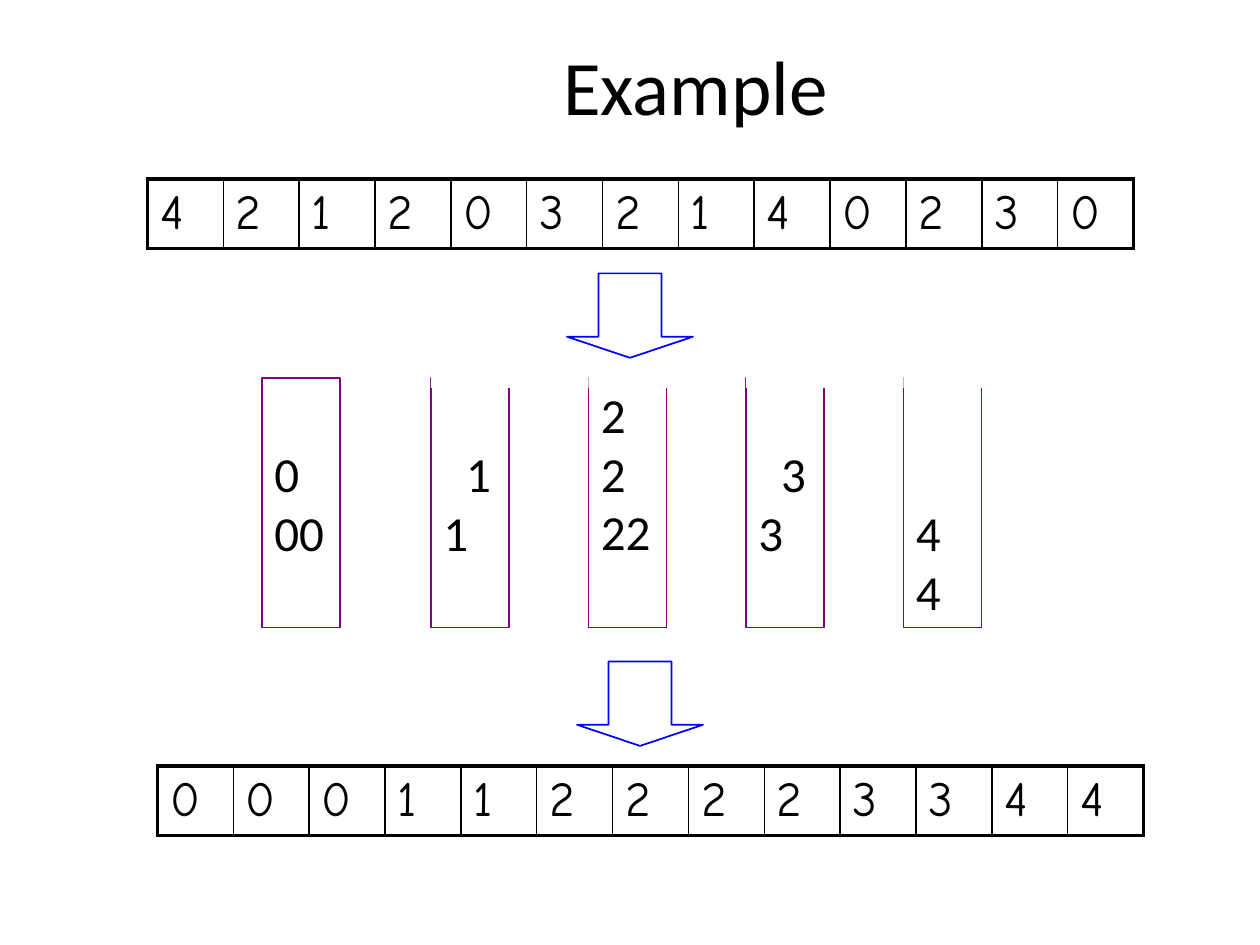
"""Build the bucket sort example slide."""
from lxml import etree
from pptx import Presentation
from pptx import util as u
from pptx.dml.color import RGBColor
from pptx.enum import shapes, text
from pptx.oxml.ns import qn

BLACK = RGBColor(0, 0, 0)
WHITE = RGBColor(255, 255, 255)
PURPLE = RGBColor(128, 0, 128)
BLUE = RGBColor(0, 0, 255)
THIN, THICK = u.Pt(1), u.Pt(2.25)


def style_paragraph(paragraph, font_name, size):
    paragraph.font.name = font_name
    paragraph.font.size = u.Pt(size)
    paragraph.font.color.rgb = BLACK


def add_border(cell, side, width):
    line = etree.SubElement(cell._tc.get_or_add_tcPr(), qn(f"a:{side}"), w=str(width))
    fill = etree.SubElement(line, qn("a:solidFill"))
    etree.SubElement(fill, qn("a:srgbClr"), val=str(BLACK))


presentation = Presentation()
presentation.slide_width, presentation.slide_height = u.Inches(10), u.Inches(7.5)
slide = presentation.slides.add_slide(presentation.slide_layouts[5])

title = slide.shapes.title
title.left, title.top = u.Inches(1.26), u.Inches(0.26)
title.width, title.height = u.Inches(8.52), u.Inches(0.83)
title.text_frame.text = "Example"
title.text_frame.vertical_anchor = text.MSO_ANCHOR.MIDDLE
title.text_frame.paragraphs[0].alignment = text.PP_ALIGN.CENTER
style_paragraph(title.text_frame.paragraphs[0], "Calibri", 44)

for left, top, digits in [(1.17, 1.42, "4212032140230"), (1.25, 6.08, "0001122223344")]:
    table = slide.shapes.add_table(
        1, len(digits), u.Inches(left), u.Inches(top), u.Inches(7.83), u.Inches(0.55)
    ).table
    table.first_row = table.horz_banding = False
    last = len(digits) - 1
    for column, digit in enumerate(digits):
        cell = table.cell(0, column)
        cell.text_frame.text = digit
        style_paragraph(cell.text_frame.paragraphs[0], "Comic Neue", 28)
        add_border(cell, "lnL", THICK if column == 0 else THIN)
        add_border(cell, "lnR", THICK if column == last else THIN)
        add_border(cell, "lnT", THICK)
        add_border(cell, "lnB", THICK)
        cell.fill.background()

buckets = [
    (2.08, "0 00", 1, 0),
    (3.42, "1 1", 1, 0.18),
    (4.67, "2\n2 22", 0, 0),
    (5.92, "3 3", 1, 0.18),
    (7.17, "4 4", 2, 0),
]
for left, content, skipped_lines, indent in buckets:
    bucket = slide.shapes.add_shape(
        shapes.MSO_SHAPE.RECTANGLE, u.Inches(left), u.Inches(3), u.Inches(0.62), u.Inches(1.98)
    )
    bucket.shadow.inherit = False
    bucket.fill.background()
    bucket.line.color.rgb = PURPLE
    bucket.line.width = THIN
    frame = bucket.text_frame
    frame.text = content
    frame.word_wrap = True
    frame.vertical_anchor = text.MSO_ANCHOR.TOP
    frame.margin_top = u.Inches(0.05 + 0.47 * skipped_lines)
    for paragraph in frame.paragraphs:
        paragraph.alignment = text.PP_ALIGN.LEFT
        paragraph._p.get_or_add_pPr().set("indent", str(u.Inches(indent)))
        style_paragraph(paragraph, "Calibri", 28)
    if left > buckets[0][0]:
        cover = slide.shapes.add_shape(
            shapes.MSO_SHAPE.RECTANGLE, u.Inches(left), u.Inches(2.75), u.Inches(0.67), u.Inches(0.33)
        )
        cover.shadow.inherit = False
        cover.fill.solid()
        cover.fill.fore_color.rgb = WHITE
        cover.line.fill.background()

for left, top in [(4.5, 2.17), (4.58, 5.25)]:
    arrow = slide.shapes.add_shape(
        shapes.MSO_SHAPE.DOWN_ARROW, u.Inches(left), u.Inches(top), u.Inches(1), u.Inches(0.67)
    )
    arrow.adjustments[0], arrow.adjustments[1] = 0.5, 0.25
    arrow.shadow.inherit = False
    arrow.fill.background()
    arrow.line.color.rgb = BLUE
    arrow.line.width = THIN

presentation.save("out.pptx")
